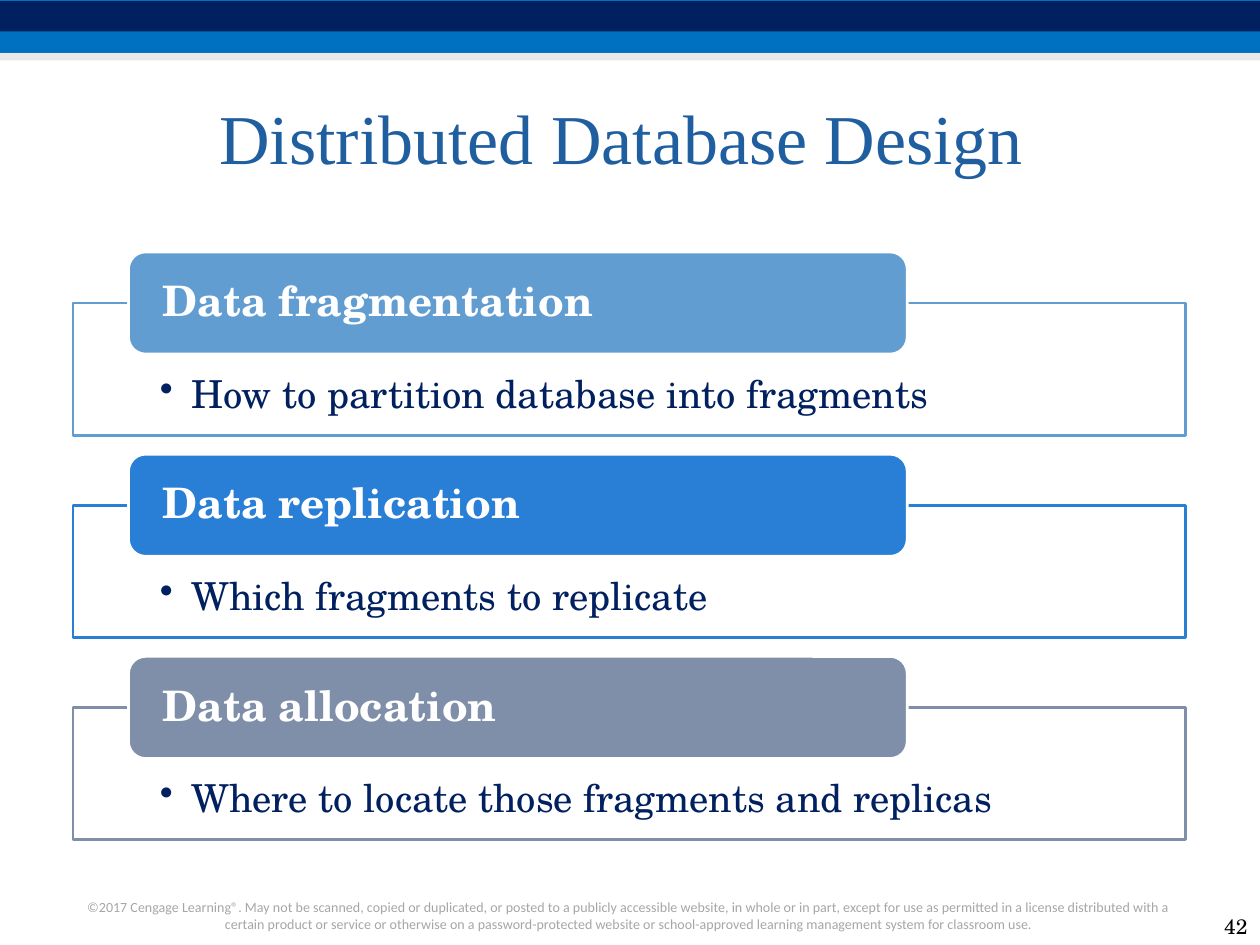
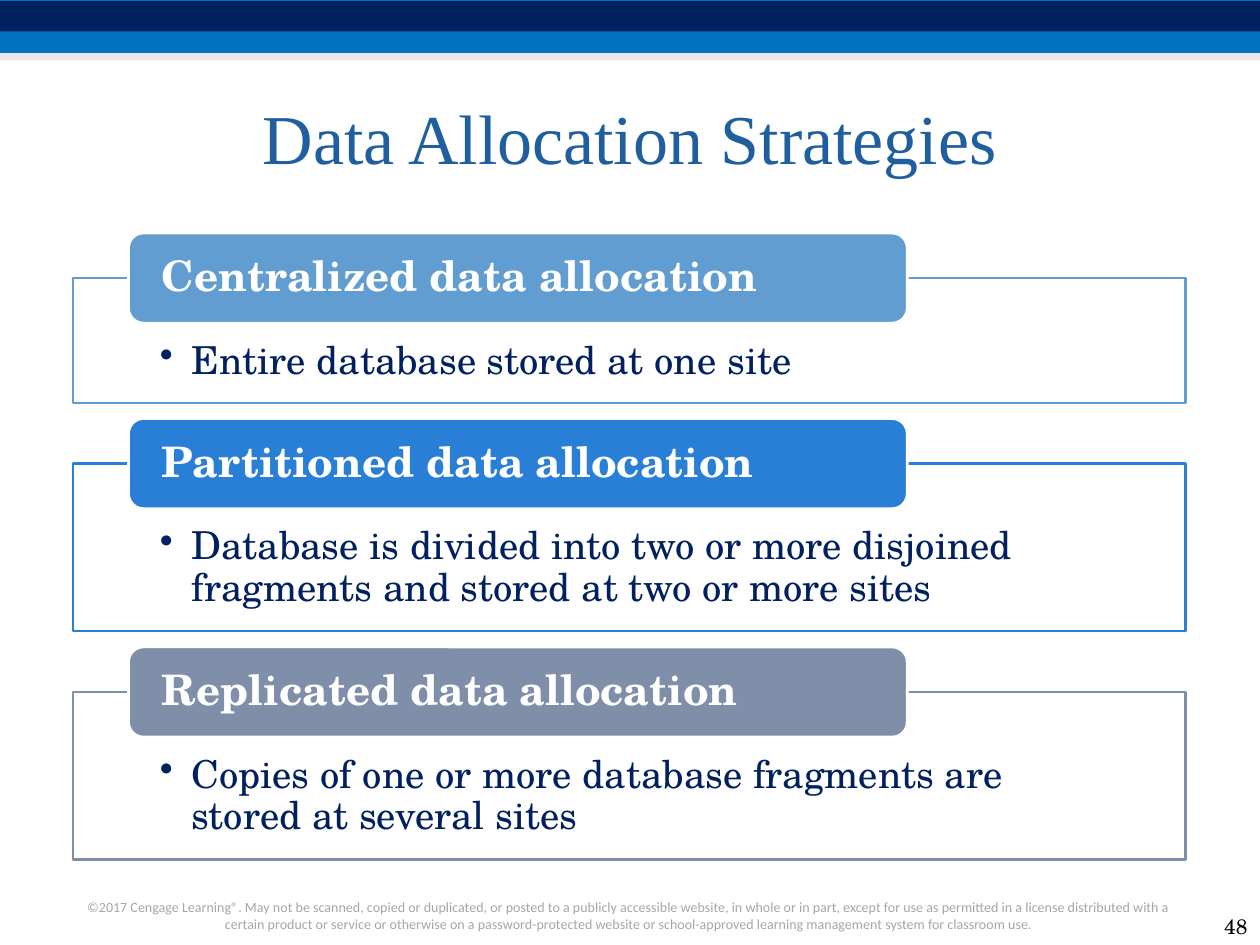
from dataclasses import dataclass
from typing import NamedTuple

from lxml import etree
from pptx import Presentation
from pptx.dml.color import RGBColor
from pptx.enum.shapes import MSO_SHAPE
from pptx.enum.text import MSO_ANCHOR, PP_ALIGN
from pptx.oxml.ns import qn
from pptx.util import Inches, Pt

RECT, ROUNDED = MSO_SHAPE.RECTANGLE, MSO_SHAPE.ROUNDED_RECTANGLE
TOP, MIDDLE, BOTTOM = MSO_ANCHOR.TOP, MSO_ANCHOR.MIDDLE, MSO_ANCHOR.BOTTOM
LEFT, CENTER, RIGHT = PP_ALIGN.LEFT, PP_ALIGN.CENTER, PP_ALIGN.RIGHT

COLUMNS, ROWS = 100, 75
CELL = Inches(0.1)
TITLE_ONLY = 5

COLORS = {
    "white": "FFFFFF", "black": "000000", "navy": "002060", "blue": "0070C0",
    "mist": "D8D3D9", "title": "1F5FA0", "footer": "A6A6A6",
    "sky": "629DD1", "azure": "297FD5", "slate": "7F8FA9",
}
TOPIC_COLORS = ("sky", "azure", "slate")

SERIF = "TeX Gyre Schola"
FORMATS = {
    "title": {"name": "Times New Roman", "size": Pt(40), "color": "title"},
    "tab": {"name": SERIF, "size": Pt(24), "bold": True, "color": "white"},
    "bullet": {"name": SERIF, "size": Pt(22), "color": "navy"},
    "number": {"name": SERIF, "size": Pt(12), "color": "black"},
    "footer": {"name": "Calibri", "size": Pt(8), "color": "footer"},
}

FOOTER = (
    "©2017 Cengage Learning®. May not be scanned, copied or duplicated, or posted to a "
    "publicly accessible website, in whole or in part, except for use as permitted in a "
    "license distributed with a certain product or service or otherwise on a "
    "password-protected website or school-approved learning management system for "
    "classroom use."
)


class Box(NamedTuple):
    """A place on the grid, in columns and rows."""
    left: float
    top: float
    width: float
    height: float

    def emu(self) -> list[int]:
        return [round(n * CELL) for n in self]


class Band(NamedTuple):
    top: float
    height: float
    color: str
    opacity: int = 100


class Topic(NamedTuple):
    heading: str
    detail: str
    frame_rows: float


@dataclass
class TopicSlide:
    title: str
    number: int
    top: float
    tab_rows: float
    gap: float
    detail_inset: float
    topics: list[Topic]


BANDS = [Band(0, 4.2, "blue"), Band(0.1, 2.4, "navy"), Band(4.2, 0.6, "mist", 50)]

SLIDES = [
    TopicSlide("Distributed Database Design ", 42, 20, 8.1, 1.5, 5.7, [
        Topic("Data fragmentation", "How to partition database into fragments", 10.5),
        Topic("Data replication", "Which fragments to replicate", 10.5),
        Topic("Data allocation", "Where to locate those fragments and replicas", 10.5),
    ]),
    TopicSlide("Data Allocation Strategies", 48, 18.5, 7.15, 1.25, 5, [
        Topic("Centralized data allocation", "Entire database stored at one site", 9.9),
        Topic("Partitioned data allocation",
              "Database is divided into two or more disjoined fragments "
              "and stored at two or more sites", 13.3),
        Topic("Replicated data allocation",
              "Copies of one or more database fragments are stored at several sites", 13.3),
    ]),
]


def rgb(color: str) -> RGBColor:
    return RGBColor.from_string(COLORS[color])


def write(sp, text: str, style: str, align=LEFT, anchor=TOP, insets=None):
    """Put one formatted paragraph in a shape; insets are left, top, right, bottom cells."""
    tf = sp.text_frame
    tf.word_wrap = True
    tf.vertical_anchor = anchor
    if insets:
        for side, cells in zip(("left", "top", "right", "bottom"), insets):
            setattr(tf, f"margin_{side}", round(cells * CELL))
    p = tf.paragraphs[0]
    p.alignment = align
    r = p.add_run()
    r.text = text
    for name, value in FORMATS[style].items():
        if name == "color":
            r.font.color.rgb = rgb(value)
        else:
            setattr(r.font, name, value)
    return p


def add_bullet(p) -> None:
    pPr = p._p.get_or_add_pPr()
    pPr.set("marL", str(Inches(0.25)))
    pPr.set("indent", str(-Inches(0.25)))
    etree.SubElement(pPr, qn("a:buChar")).set("char", "•")


def add_block(s, kind, box: Box, fill: str, line: str = "", opacity: int = 100):
    sp = s.shapes.add_shape(kind, *box.emu())
    sp.shadow.inherit = False
    sp.fill.solid()
    sp.fill.fore_color.rgb = rgb(fill)
    if opacity < 100:
        color = sp.fill._xPr.find(f".//{qn('a:srgbClr')}")
        etree.SubElement(color, qn("a:alpha")).set("val", str(opacity * 1000))
    if line:
        sp.line.color.rgb = rgb(line)
        sp.line.width = Pt(1.5)
    else:
        sp.line.fill.background()
    return sp


def add_base(prs, title: str, number: int):
    """Add a slide with the bands, title, footer and number that all slides share."""
    s = prs.slides.add_slide(prs.slide_layouts[TITLE_ONLY])
    for band in BANDS:
        add_block(s, RECT, Box(0, band.top, COLUMNS, band.height), band.color,
                  opacity=band.opacity)
    heading = s.shapes.title
    heading.left, heading.top, heading.width, heading.height = Box(5, 5, 90, 11.7).emu()
    write(heading, title, "title", CENTER, MIDDLE)
    footer = s.shapes.add_textbox(*Box(5.8, 70.8, 88.3, 4.2).emu())
    write(footer, FOOTER, "footer", CENTER)
    corner = s.shapes.add_textbox(*Box(95, ROWS - 3.3, 5, 3.3).emu())
    write(corner, str(number), "number", RIGHT, BOTTOM)
    return s


def add_topics(s, page: TopicSlide) -> None:
    """Stack framed topics, each with a tab centred on the top edge of its frame."""
    top = page.top
    for topic, color in zip(page.topics, TOPIC_COLORS):
        frame_top = top + page.tab_rows / 2
        frame = add_block(s, RECT, Box(5.8, frame_top, 88.3, topic.frame_rows),
                          "white", color, 90)
        p = write(frame, topic.detail, "bullet",
                  insets=(6.9, page.detail_inset, 6.9, 1.7))
        p.line_spacing = 0.9
        add_bullet(p)
        tab = add_block(s, ROUNDED, Box(10.2, top, 61.8, page.tab_rows), color, "white")
        p = write(tab, topic.heading, "tab", anchor=MIDDLE, insets=(2.3, 0, 2.3, 0))
        p.line_spacing = 0.9
        top = frame_top + topic.frame_rows + page.gap


def main() -> None:
    prs = Presentation()
    prs.slide_width, prs.slide_height = COLUMNS * CELL, ROWS * CELL
    for page in SLIDES:
        add_topics(add_base(prs, page.title, page.number), page)
    prs.save("out.pptx")


if __name__ == "__main__":
    main()
